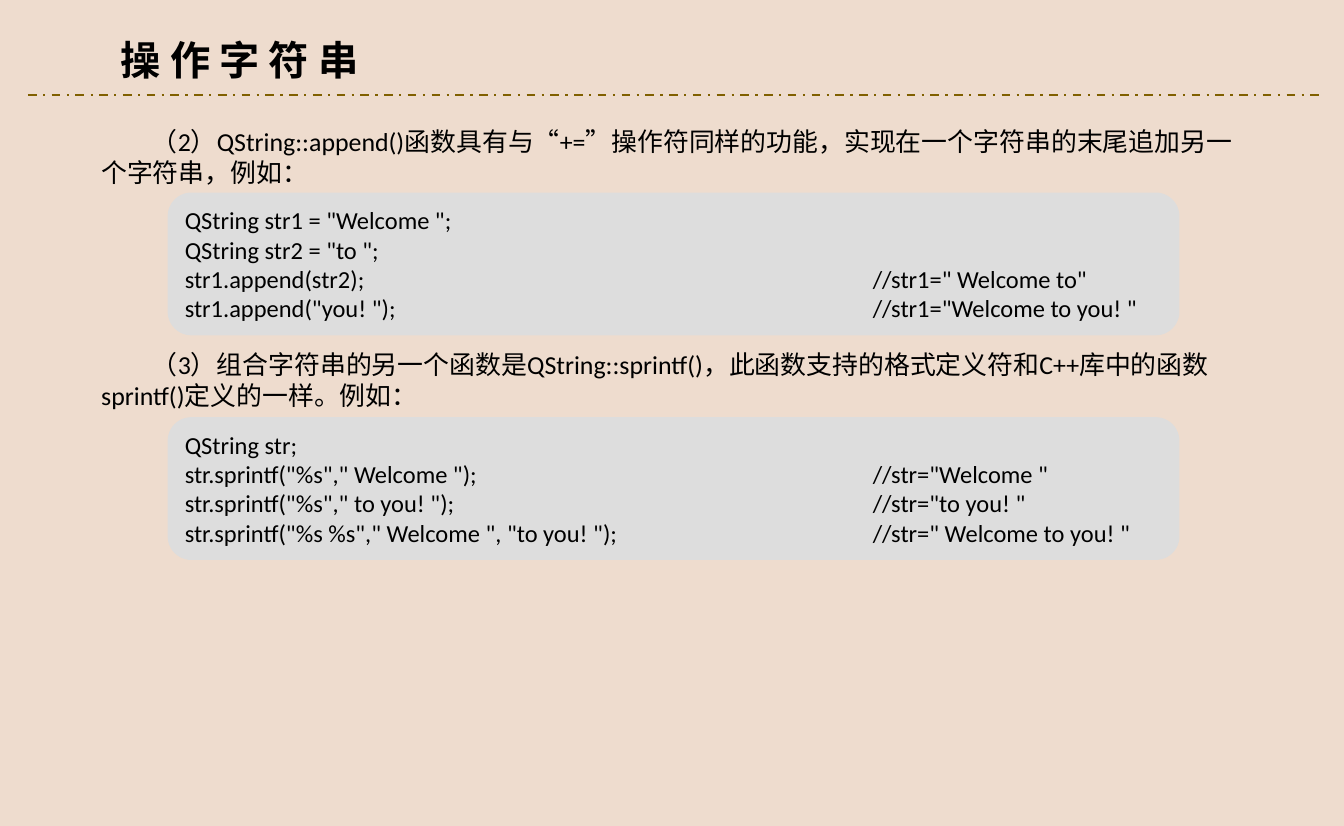
from lxml.etree import SubElement
from pptx import Presentation
from pptx.dml.color import RGBColor
from pptx.enum.dml import MSO_LINE
from pptx.enum.lang import MSO_LANGUAGE_ID
from pptx.enum.shapes import MSO_CONNECTOR, MSO_SHAPE
from pptx.enum.text import MSO_ANCHOR, PP_ALIGN
from pptx.oxml.ns import qn
from pptx.util import Inches, Pt

COLORS = {"background": "EEDCCE", "rule": "806000", "code": "DDDDDD", "text": "000000"}
FONT = "Calibri"
COMMENT_TAB = Inches(6.65)

APPEND_CODE = [
    'QString str1 = "Welcome ";',
    'QString str2 = "to ";',
    'str1.append(str2);\t//str1=" Welcome to"',
    'str1.append("you! ");\t//str1="Welcome to you! "',
]
SPRINTF_CODE = [
    'QString str;',
    'str.sprintf("%s"," Welcome ");\t//str="Welcome "',
    'str.sprintf("%s"," to you! ");\t//str="to you! "',
    'str.sprintf("%s %s"," Welcome ", "to you! ");\t//str=" Welcome to you! "',
]


def color(name):
    return RGBColor.from_string(COLORS[name])


def add_run(p, text, size, bold=False):
    r = p.add_run()
    r.text = text
    r.font.name = FONT
    r.font.size = Pt(size)
    r.font.bold = bold
    r.font.color.rgb = color("text")
    r.font.language_id = MSO_LANGUAGE_ID.SIMPLIFIED_CHINESE


def add_text(s, left, top, width, height, text, size, bold=False, indent=0):
    tf = s.shapes.add_textbox(
        Inches(left), Inches(top), Inches(width), Inches(height)).text_frame
    tf.word_wrap = True
    p = tf.paragraphs[0]
    pPr = p._p.get_or_add_pPr()
    pPr.set("marL", "0")
    pPr.set("indent", str(Inches(indent)))
    add_run(p, text, size, bold)


def add_code(s, top, lines):
    sp = s.shapes.add_shape(MSO_SHAPE.ROUNDED_RECTANGLE, Inches(1.62),
                            Inches(top), Inches(9.78), Inches(1.38))
    sp.shadow.inherit = False
    sp.fill.solid()
    sp.fill.fore_color.rgb = color("code")
    sp.line.fill.background()
    tf = sp.text_frame
    tf.word_wrap = True
    tf.vertical_anchor = MSO_ANCHOR.MIDDLE
    for i, line in enumerate(lines):
        p = tf.add_paragraph() if i else tf.paragraphs[0]
        p.alignment = PP_ALIGN.LEFT
        # One tab stop lines up the trailing comments
        tabs = SubElement(p._p.get_or_add_pPr(), qn("a:tabLst"))
        SubElement(tabs, qn("a:tab"), pos=str(COMMENT_TAB), algn="l")
        add_run(p, line, 17)


def add_rule(s):
    rule = s.shapes.add_connector(MSO_CONNECTOR.STRAIGHT, Inches(0.27),
                                  Inches(0.92), Inches(12.79), Inches(0.92))
    rule.line.color.rgb = color("rule")
    rule.line.width = Pt(1.5)
    rule.line.dash_style = MSO_LINE.DASH_DOT
    SubElement(rule._element.spPr, qn("a:effectLst"))


def main():
    prs = Presentation()
    prs.slide_width, prs.slide_height = Inches(12.99), Inches(7.98)
    s = prs.slides.add_slide(prs.slide_layouts[6])
    s.background.fill.solid()
    s.background.fill.fore_color.rgb = color("background")

    # Heading
    add_rule(s)
    add_text(s, 1.07, 0.29, 2.52, 0.57, "操 作 字 符 串", 28, bold=True)

    # Appending to a string
    add_text(s, 0.88, 1.16, 11.25, 0.71,
             "（2）QString::append()函数具有与“+=”操作符同样的功能，"
             "实现在一个字符串的末尾追加另一个字符串，例如：", 18, indent=0.49)
    add_code(s, 1.86, APPEND_CODE)

    # Formatting a string
    add_text(s, 0.88, 3.32, 11.04, 0.71,
             "（3）组合字符串的另一个函数是QString::sprintf()，此函数支持的格式定义符"
             "和C++库中的函数sprintf()定义的一样。例如：", 18, indent=0.49)
    add_code(s, 4.03, SPRINTF_CODE)

    prs.save("out.pptx")


if __name__ == "__main__":
    main()
